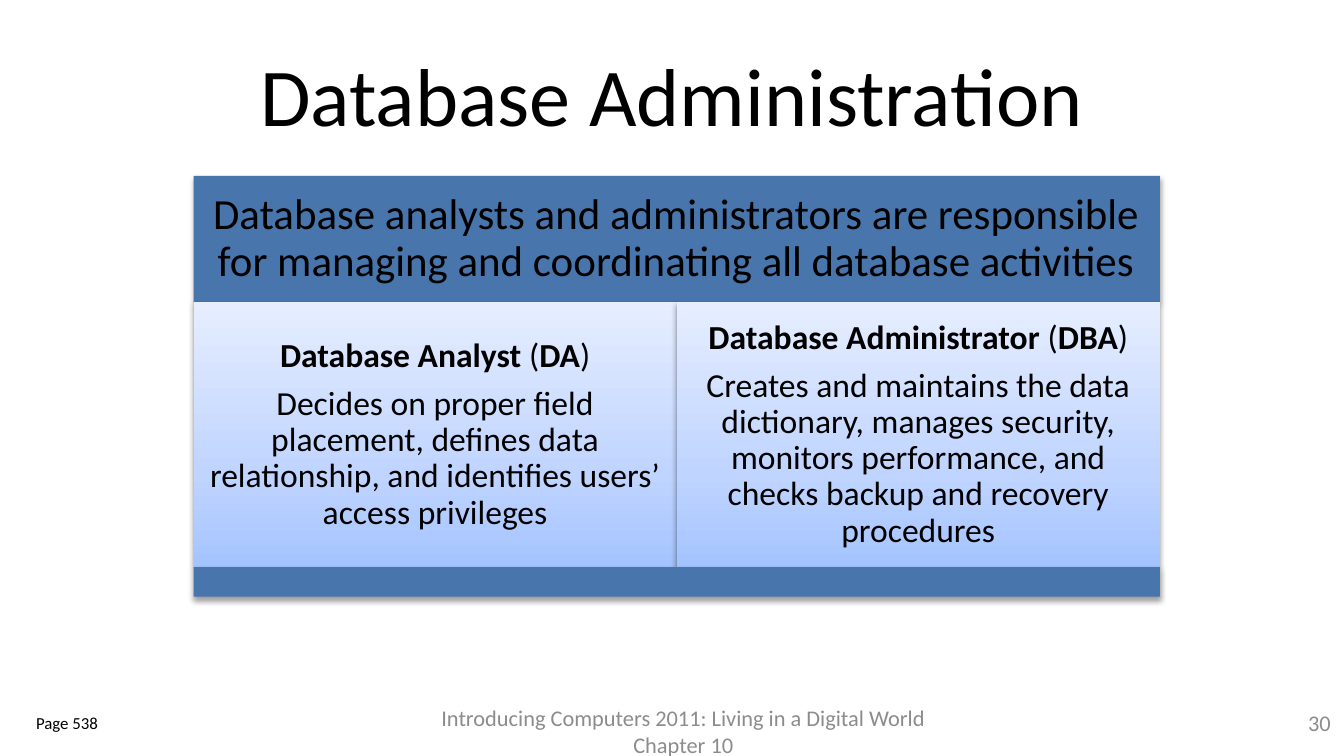
from copy import deepcopy

from lxml.etree import SubElement
from pptx import Presentation
from pptx.dml.color import RGBColor
from pptx.enum.shapes import MSO_SHAPE
from pptx.enum.text import MSO_ANCHOR, PP_ALIGN
from pptx.oxml.ns import qn
from pptx.util import Inches, Pt

TITLE = "Database Administration"
LEAD = ("Database analysts and administrators are responsible "
        "for managing and coordinating all database activities")
ROLES = [
    ("Database Analyst", "DA",
     "Decides on proper field placement, defines data relationship, "
     "and identifies users’ access privileges"),
    ("Database Administrator", "DBA",
     "Creates and maintains the data dictionary, manages security, "
     "monitors performance, and checks backup and recovery procedures"),
]
FOOTER = "Introducing Computers 2011: Living in a Digital World Chapter 10"
NUMBER = "30"
PAGE = "Page 538"

THEME = {
    "font": "Calibri", "ink": "000000", "muted": "8C8C8C", "band": "4875AC",
    "fade": [(0, "A4C4FF"), (0.35, "BFD4FF"), (1, "E6EEFF")],
    "title": 44, "lead": 23, "role": 18, "foot": 12, "page": 9,
}
WIDE = 10
HIGH = WIDE * 9 / 16
LEFT, TOP, WIDTH = 1.44, 1.31, 7.19
LEAD_H, ROLE_H, BASE_H = 0.94, 1.97, 0.22


def write(shape, paras, size, color="ink", align=PP_ALIGN.CENTER,
          anchor=MSO_ANCHOR.MIDDLE, inset=None, line=None, after=0):
    """Fill a shape with paragraphs, each a list of (text, bold) runs."""
    frame = shape.text_frame
    frame.word_wrap = True
    frame.vertical_anchor = anchor
    if inset is not None:
        frame.margin_left = frame.margin_right = Inches(inset)
        frame.margin_top = frame.margin_bottom = Inches(inset)
    for i, runs in enumerate(paras):
        para = frame.add_paragraph() if i else frame.paragraphs[0]
        para.alignment = align
        para.space_after = Pt(after)
        if line:
            para.line_spacing = line
        for text, bold in runs:
            run = para.add_run()
            run.text = text
            run.font.name = THEME["font"]
            run.font.size = Pt(THEME[size])
            run.font.bold = bold
            run.font.color.rgb = RGBColor.from_string(THEME[color])


def label(slide, box, text, size, **style):
    shape = slide.shapes.add_textbox(*map(Inches, box))
    write(shape, [[(text, False)]], size, **style)


def panel(slide, *box):
    """Add a borderless rectangle with a soft shadow below it."""
    shape = slide.shapes.add_shape(MSO_SHAPE.RECTANGLE, *map(Inches, box))
    shape.line.fill.background()
    shape.shadow.inherit = False
    effects = shape.element.spPr.find(qn("a:effectLst"))
    shade = SubElement(effects, qn("a:outerShdw"), blurRad=str(Pt(3.1)),
                       dist=str(Pt(1.6)), dir="5400000", rotWithShape="0")
    tint = SubElement(shade, qn("a:srgbClr"), val="000000")
    SubElement(tint, qn("a:alpha"), val="38000")
    return shape


def band(slide, top, height):
    shape = panel(slide, LEFT, top, WIDTH, height)
    shape.fill.solid()
    shape.fill.fore_color.rgb = RGBColor.from_string(THEME["band"])
    return shape


def fade(shape):
    """Apply the theme gradient, running from bottom to top."""
    shape.fill.gradient()
    shape.fill.gradient_angle = 90
    stops = shape.element.spPr.find(".//" + qn("a:gsLst"))
    stops.append(deepcopy(stops[0]))
    for stop, (place, color) in zip(shape.fill.gradient_stops, THEME["fade"]):
        stop.position = place
        stop.color.rgb = RGBColor.from_string(color)


def main():
    deck = Presentation()
    deck.slide_width, deck.slide_height = Inches(WIDE), Inches(HIGH)
    slide = deck.slides.add_slide(deck.slide_layouts[6])

    label(slide, (0.5, 0.23, 9, 0.94), TITLE, "title")

    lead = band(slide, TOP, LEAD_H)
    write(lead, [[(LEAD, False)]], "lead", inset=0.1, line=0.9)

    wide = WIDTH / len(ROLES)
    for i, (name, short, duty) in enumerate(ROLES):
        card = panel(slide, LEFT + i * wide, TOP + LEAD_H, wide, ROLE_H)
        fade(card)
        head = [(name, True), (" (", False), (short, True), (")", False)]
        write(card, [head, [(duty, False)]], "role",
              inset=0.07, line=0.9, after=6.3)

    band(slide, TOP + LEAD_H + ROLE_H, BASE_H)

    label(slide, (3, 5.25, 4.17, 0.38), FOOTER, "foot", color="muted")
    label(slide, (9.33, 5.13, 0.67, 0.5), NUMBER, "foot", color="muted",
          align=PP_ALIGN.RIGHT)
    label(slide, (0.17, 5.25, 1.83, 0.38), PAGE, "page",
          align=PP_ALIGN.LEFT, anchor=MSO_ANCHOR.TOP)
    deck.save("out.pptx")


if __name__ == "__main__":
    main()
